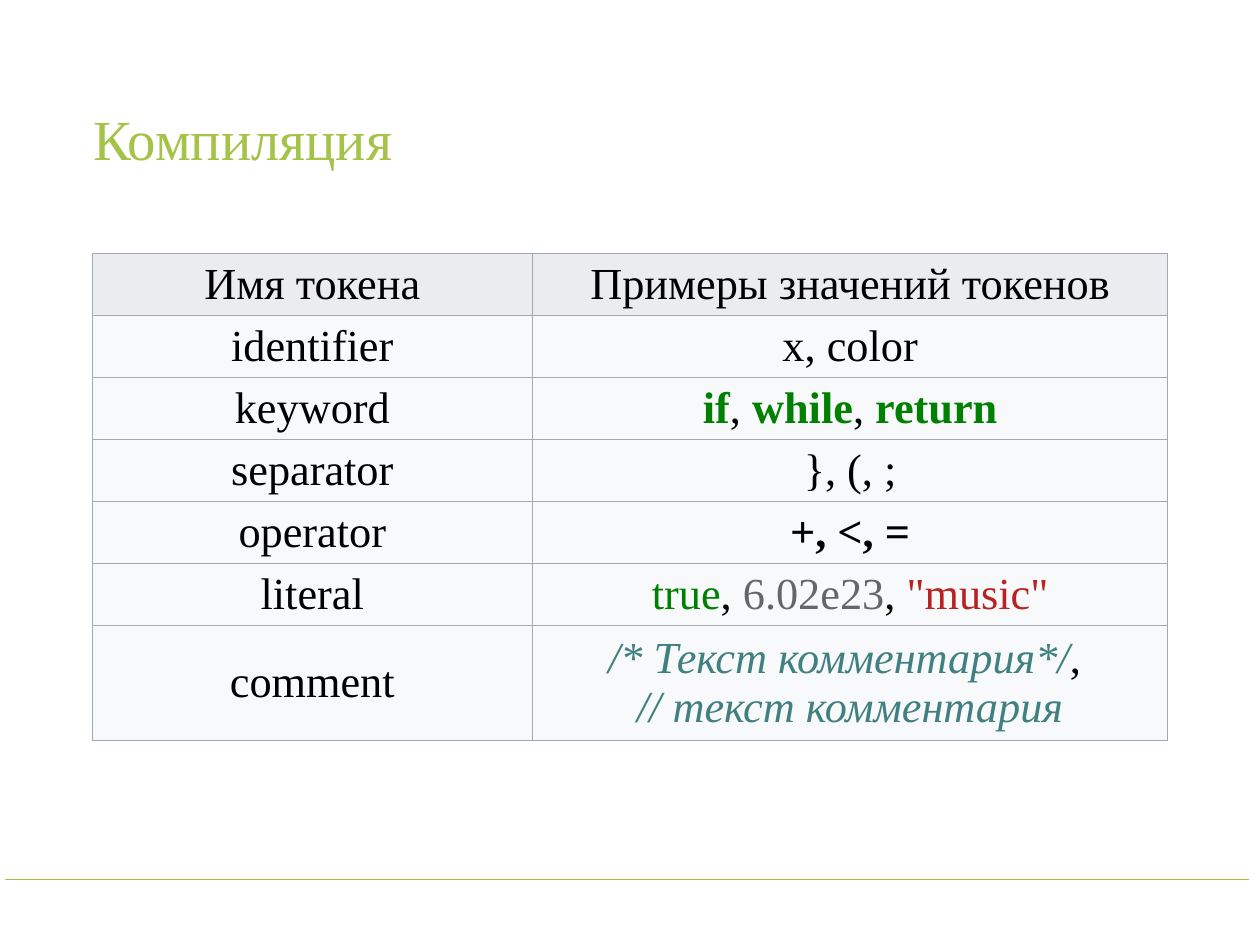
from lxml.etree import SubElement as Sub
from pptx import Presentation
from pptx.dml.color import RGBColor as RGB
from pptx.enum.shapes import MSO_CONNECTOR as LINE
from pptx.enum.text import MSO_ANCHOR as ANCHOR, PP_ALIGN as ALIGN
from pptx.oxml import parse_xml
from pptx.oxml.ns import nsdecls, qn
from pptx.util import Inches, Pt

COLORS = {
    "title": "A5C249", "rule": "A3C044", "border": "A2A9B1",
    "head": "EAECF0", "body": "F8F9FA", "text": "000000",
    "word": "008000", "number": "666666", "string": "BA2121", "note": "408080",
}
COMMA = (", ", "text", "")


def mix(*runs):
    """Put a plain comma between coloured runs."""
    parts = [runs[0]]
    for run in runs[1:]:
        parts += [COMMA, run]
    return parts


def plain(text, style=""):
    return [[(text, "text", style)]]


# Each cell is a list of paragraphs, each a list of (text, colour, style)
ROWS = [
    ("Имя токена", plain("Примеры значений токенов")),
    ("identifier", plain("x, color")),
    ("keyword", [mix(*((word, "word", "b") for word in ("if", "while", "return")))]),
    ("separator", plain("}, (, ;")),
    ("operator", plain("+, <, =", "b")),
    ("literal", [mix(("true", "word", ""), ("6.02e23", "number", ""),
                     ('"music"', "string", ""))]),
    ("comment", [[("/* Текст комментария*/", "note", "i"), COMMA],
                 [("// текст комментария", "note", "i")]]),
]


class Page:
    font = "Times New Roman"

    def __init__(self, slide):
        self.shapes = slide.shapes

    def color(self, name):
        return RGB.from_string(COLORS[name])

    def title(self, text, x, y, w, h):
        frame = self.shapes.add_textbox(Inches(x), Inches(y), Inches(w), Inches(h)).text_frame
        frame.word_wrap = True
        frame.vertical_anchor = ANCHOR.MIDDLE
        frame.margin_left = frame.margin_right = Inches(0.07)
        frame.margin_top = frame.margin_bottom = Inches(0.07)
        para = frame.paragraphs[0]
        para.text = text
        para.line_spacing = 0.9
        para.font.name, para.font.size = self.font, Pt(46)
        para.font.color.rgb = self.color("title")

    def rule(self, x1, x2, y):
        line = self.shapes.add_connector(LINE.STRAIGHT, Inches(x1), Inches(y),
                                         Inches(x2), Inches(y))
        line.line.color.rgb = self.color("rule")
        line.line.width = Pt(1)
        Sub(line._element.spPr, qn("a:effectLst"))

    def table(self, rows, x, y, widths, heights):
        table = self.shapes.add_table(len(rows), len(widths), Inches(x), Inches(y),
                                      Inches(sum(widths)), Inches(sum(heights))).table
        table.first_row = table.horz_banding = False
        for col, width in zip(table.columns, widths):
            col.width = Inches(width)
        for i, (name, value) in enumerate(rows):
            table.rows[i].height = Inches(heights[i])
            for j, paras in enumerate((plain(name), value)):
                self.cell(table.cell(i, j), paras, "body" if i else "head")

    def cell(self, cell, paras, fill):
        cell.fill.solid()
        cell.fill.fore_color.rgb = self.color(fill)
        cell.vertical_anchor = ANCHOR.MIDDLE
        self.border(cell)
        frame = cell.text_frame
        for i, runs in enumerate(paras):
            para = frame.add_paragraph() if i else frame.paragraphs[0]
            para.alignment = ALIGN.CENTER
            para.font.name, para.font.size = self.font, Pt(36)
            for text, color, style in runs:
                run = para.add_run()
                run.text = text
                run.font.color.rgb = self.color(color)
                run.font.bold, run.font.italic = style == "b", style == "i"

    def border(self, cell):
        props = cell._tc.get_or_add_tcPr()
        for i, side in enumerate("LRTB"):
            props.insert(i, parse_xml(
                f'<a:ln{side} {nsdecls("a")} w="{Pt(0.75)}"><a:solidFill>'
                f'<a:srgbClr val="{COLORS["border"]}"/></a:solidFill></a:ln{side}>'))


def main():
    deck = Presentation()
    deck.slide_width, deck.slide_height = Inches(14.22), Inches(10.67)
    page = Page(deck.slides.add_slide(deck.slide_layouts[6]))

    # Heading and footer rule
    page.title("Компиляция", 0.98, 0.57, 12.27, 2.06)
    page.rule(0.06, 14.1, 9.93)

    # Token table, with a taller last row for two lines
    page.table(ROWS, 1.04, 2.86, (4.97, 7.17), [0.69] * 6 + [1.21])

    deck.save("out.pptx")


if __name__ == "__main__":
    main()
